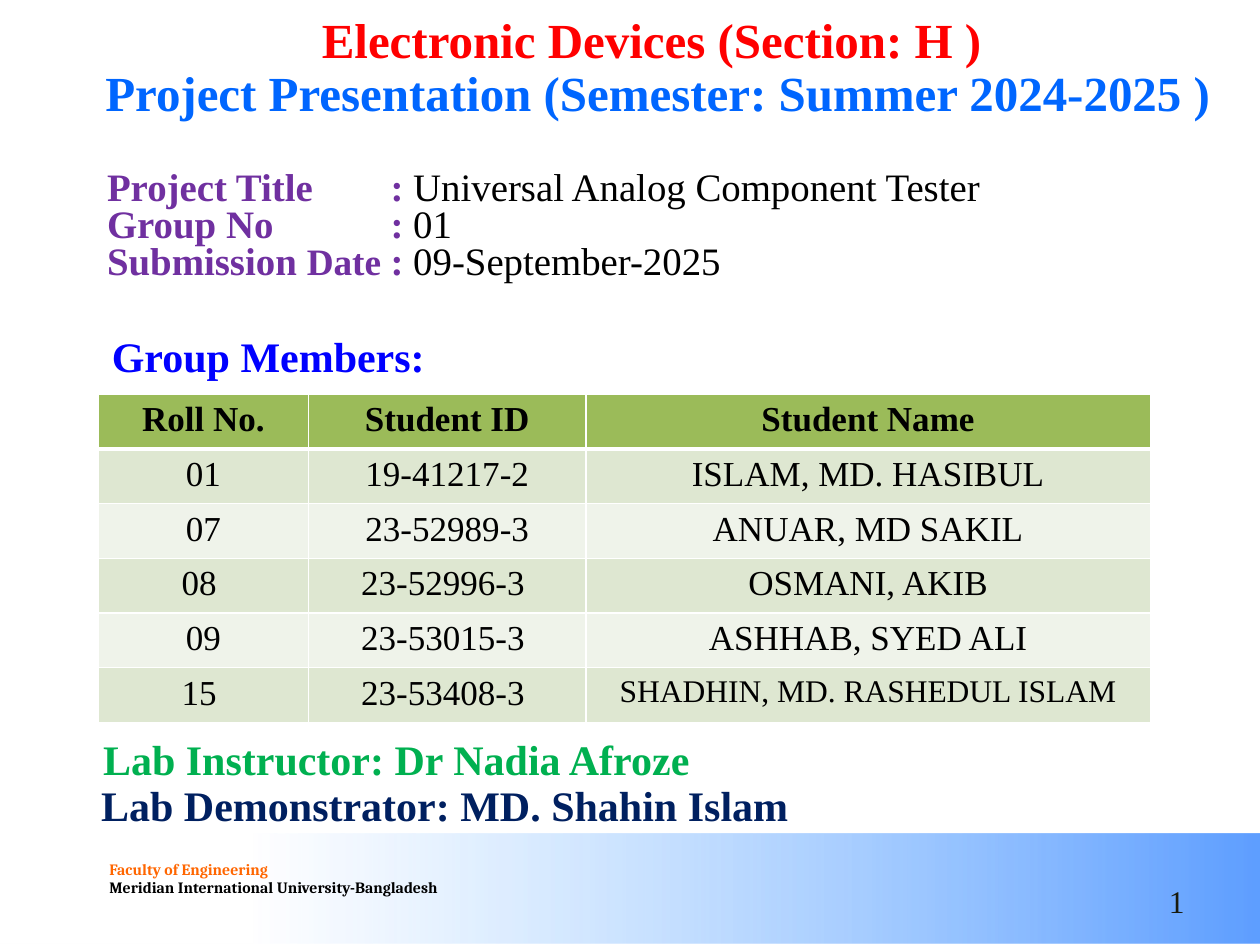
from lxml.etree import SubElement
from pptx import Presentation
from pptx.dml.color import RGBColor
from pptx.enum.shapes import MSO_SHAPE
from pptx.enum.text import MSO_ANCHOR, PP_ALIGN
from pptx.oxml.ns import qn
from pptx.util import Inches, Pt

BLACK = RGBColor(0x00, 0x00, 0x00)
WHITE = RGBColor(0xFF, 0xFF, 0xFF)
RED = RGBColor(0xFF, 0x00, 0x00)
AZURE = RGBColor(0x00, 0x66, 0xFF)
PURPLE = RGBColor(0x70, 0x30, 0xA0)
BLUE = RGBColor(0x00, 0x00, 0xFF)
GREEN = RGBColor(0x00, 0xB0, 0x50)
NAVY = RGBColor(0x00, 0x20, 0x60)
ORANGE = RGBColor(0xFF, 0x66, 0x00)
INK = RGBColor(0x19, 0x1B, 0x0E)
BAND_RIGHT = RGBColor(0x5E, 0x9E, 0xFF)
BAND_LEFT = RGBColor(0x85, 0xC2, 0xFF)
HEADER_FILL = RGBColor(0x9B, 0xBB, 0x59)
ODD_FILL = RGBColor(0xDE, 0xE7, 0xD1)
EVEN_FILL = RGBColor(0xEF, 0xF3, 0xEA)
SERIF = "Times New Roman"


def add_run(paragraph, text, size, color, bold=True, font=SERIF):
    run = paragraph.add_run()
    run.text = text
    run.font.name = font
    run.font.size = Pt(size)
    run.font.bold = bold
    run.font.color.rgb = color


def add_text(box, lines, align=PP_ALIGN.CENTER, spacing=0.9,
             anchor=MSO_ANCHOR.BOTTOM, insets=(0.07, 0.04), wrap=True):
    frame = slide.shapes.add_textbox(*[Inches(length) for length in box]).text_frame
    frame.word_wrap = wrap
    frame.vertical_anchor = anchor
    frame.margin_left = frame.margin_right = Inches(insets[0])
    frame.margin_top = frame.margin_bottom = Inches(insets[1])
    for index, runs in enumerate(lines):
        paragraph = frame.add_paragraph() if index else frame.paragraphs[0]
        paragraph.alignment = align
        paragraph.line_spacing = spacing
        for run in runs:
            add_run(paragraph, *run)
    return frame


prs = Presentation()
prs.slide_width = Inches(10)
prs.slide_height = Inches(7.5)
slide = prs.slides.add_slide(prs.slide_layouts[6])
slide.background.fill.solid()
slide.background.fill.fore_color.rgb = WHITE

footer_band = slide.shapes.add_shape(
    MSO_SHAPE.RECTANGLE, Inches(0), Inches(6.62), Inches(10), Inches(0.87))
footer_band.shadow.inherit = False
footer_band.line.fill.background()
footer_band.fill.gradient()
footer_band.fill.gradient_angle = 180
band_start, band_end = footer_band.fill.gradient_stops
band_start.position, band_end.position = 0, 0.8
band_start.color.rgb, band_end.color.rgb = BAND_RIGHT, BAND_LEFT
for end_color in footer_band.fill._xPr.findall(".//" + qn("a:srgbClr"))[1:]:
    SubElement(end_color, qn("a:alpha"), val="0")

add_text((0.77, 6.77, 2.91, 0.41), [
    [("Faculty of Engineering", 9, ORANGE, True, "Cambria")],
    [("Meridian International University-Bangladesh", 9, BLACK, True, "Cambria")],
], align=PP_ALIGN.LEFT, spacing=1.0, anchor=MSO_ANCHOR.TOP,
    insets=(0.1, 0.05), wrap=False)

add_text((0.62, 0.05, 9.2, 0.96), [
    [("Electronic Devices (Section: H ) ", 28, RED)],
    [("Project Presentation (Semester: Summer 2024-2025 )", 28, AZURE)],
])

project_details = add_text((0.78, 1.33, 7.86, 0.96), [
    [("Project Title", 22.2, PURPLE), ("\t: ", 22.2, PURPLE),
     ("Universal Analog Component Tester", 22.2, BLACK, False)],
    [("Group No", 22.2, PURPLE), ("\t: ", 22.2, PURPLE),
     ("01", 22.2, BLACK, False)],
    [("Submission ", 22.2, PURPLE), ("Date", 21.3, PURPLE), ("\t: ", 22.2, PURPLE),
     ("09-September-2025", 22.2, BLACK, False)],
], align=PP_ALIGN.LEFT, spacing=0.8)
for paragraph in project_details.paragraphs:
    tab_list = SubElement(paragraph._p.get_or_add_pPr(), qn("a:tabLst"))
    SubElement(tab_list, qn("a:tab"), pos=str(Inches(2.25)), algn="l")

add_text((7.17, 6.95, 2.33, 0.4), [[("1", 18, INK, False)]],
         align=PP_ALIGN.RIGHT, spacing=1.0, anchor=MSO_ANCHOR.MIDDLE,
         insets=(0.1, 0.05))

for box, heading, color in [
    ((0.7, 2.61, 2.86, 0.46), "Group Members:", BLUE),
    ((0.52, 5.81, 5.25, 0.46), "Lab Instructor: Dr Nadia Afroze", GREEN),
    ((0.6, 6.17, 5.86, 0.46), "Lab Demonstrator: MD. Shahin Islam", NAVY),
]:
    add_text(box, [[(heading, 24, color)]])

members = [
    ("Roll No.", "Student ID", "Student Name"),
    ("01", "19-41217-2", "ISLAM, MD. HASIBUL"),
    ("07", "23-52989-3", "ANUAR, MD SAKIL"),
    ("08 ", "23-52996-3 ", "OSMANI, AKIB"),
    ("09", "23-53015-3 ", "ASHHAB, SYED ALI"),
    ("15 ", "23-53408-3 ", "SHADHIN, MD. RASHEDUL ISLAM"),
]
member_table = slide.shapes.add_table(
    len(members), 3, Inches(0.78), Inches(3.13), Inches(8.35), Inches(2.6)).table
for column, width in zip(member_table.columns, (1.67, 2.2, 4.48)):
    column.width = Inches(width)

for row, member in enumerate(members):
    for col, text in enumerate(member):
        cell = member_table.cell(row, col)
        paragraph = cell.text_frame.paragraphs[0]
        paragraph.alignment = PP_ALIGN.CENTER
        size = 18 if len(text) > 20 else 20
        add_run(paragraph, text, size, BLACK, row == 0)
        for side in "LRTB":
            thick = (row, side) in [(0, "B"), (1, "T")]
            border = SubElement(cell._tc.get_or_add_tcPr(), qn(f"a:ln{side}"),
                                w=str(Pt(3 if thick else 1)))
            border_fill = SubElement(border, qn("a:solidFill"))
            SubElement(border_fill, qn("a:srgbClr"), val=str(WHITE))
        cell.fill.solid()
        if row == 0:
            cell.fill.fore_color.rgb = HEADER_FILL
        else:
            cell.fill.fore_color.rgb = ODD_FILL if row % 2 else EVEN_FILL

prs.save("out.pptx")
